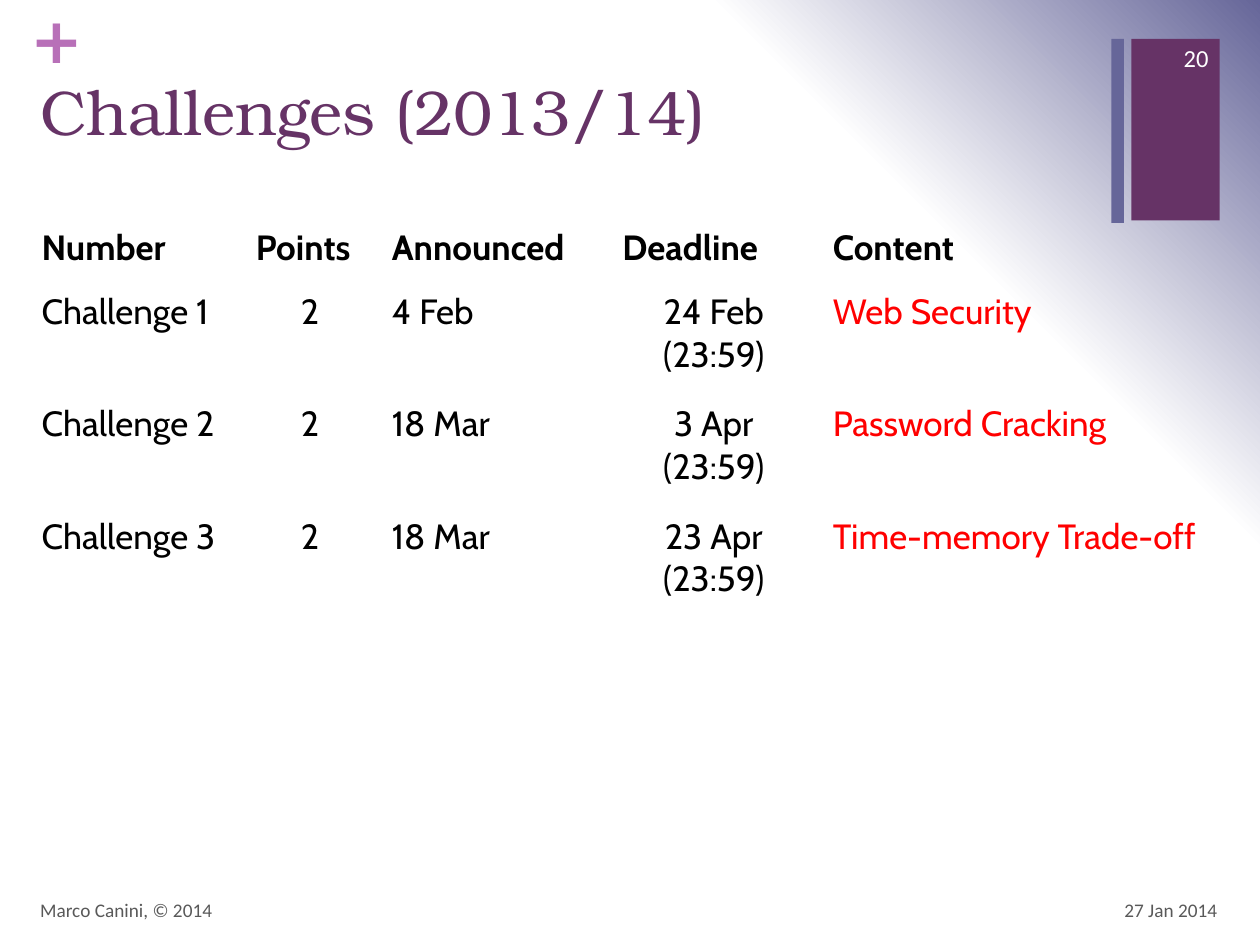
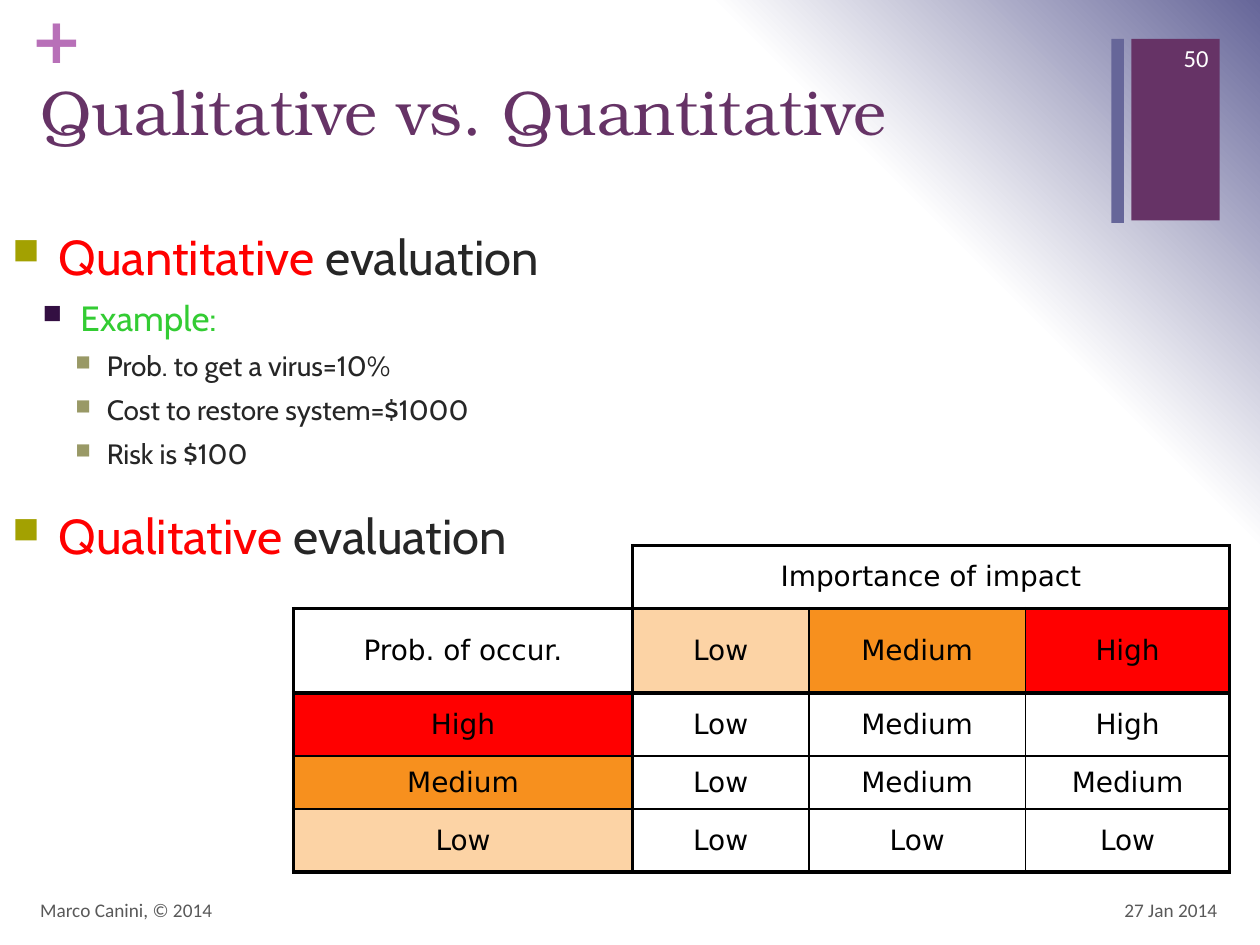
from lxml import etree
from pptx import Presentation
from pptx.dml.color import RGBColor
from pptx.enum.shapes import MSO_SHAPE
from pptx.enum.text import MSO_ANCHOR, PP_ALIGN
from pptx.oxml import parse_xml
from pptx.oxml.ns import qn
from pptx.util import Inches, Pt

C = {"purple": "663366", "slate": "666699", "orchid": "B870B8", "white": "FFFFFF",
     "black": "000000", "footer": "595959", "body": "262626", "red": "FF0000",
     "green": "33CC33", "orange": "F7901E", "peach": "FCD3A5",
     "olive": "A3A101", "plum": "330F42", "khaki": "999966"}
NS = 'xmlns:a="http://schemas.openxmlformats.org/drawingml/2006/main"'
NO_STYLE = "{2D5ABB26-0587-4C30-8999-92F81FD0307C}"
LEFT, CENTER, RIGHT = PP_ALIGN.LEFT, PP_ALIGN.CENTER, PP_ALIGN.RIGHT
BACKGROUND = f"""<a:gradFill {NS} rotWithShape="1"><a:gsLst>
<a:gs pos="0"><a:srgbClr val="{C['white']}"/></a:gs>
<a:gs pos="75000"><a:srgbClr val="{C['white']}"/></a:gs>
<a:gs pos="100000"><a:srgbClr val="{C['slate']}"/></a:gs></a:gsLst>
<a:path path="circle"><a:fillToRect t="100000" r="100000"/></a:path></a:gradFill>"""


def add_run(p, text, size, font, color, bold=False):
    r = p.add_run()
    r.text = text
    r.font.size, r.font.name, r.font.bold = Pt(size), font, bold
    r.font.color.rgb = RGBColor.from_string(C[color])


def add_box(s, box, anchor=MSO_ANCHOR.TOP):
    """Add a wrapping text box and return its text frame."""
    tf = s.shapes.add_textbox(*map(Inches, box)).text_frame
    tf.word_wrap = True
    tf.vertical_anchor = anchor
    return tf


prs = Presentation()
prs.slide_width, prs.slide_height = Inches(10), Inches(7.5)

# Shared frame: background, corner bands, title and footers
slides = []
for title, number in [("Challenges (2013/14)", "20"), ("Qualitative vs. Quantitative", "50")]:
    s = prs.slides.add_slide(prs.slide_layouts[6])
    slides.append(s)
    s.background.fill.solid()
    bg_fill = s.element.find(".//" + qn("p:bgPr")).find(qn("a:solidFill"))
    bg_fill.getparent().replace(bg_fill, parse_xml(BACKGROUND))

    for box, color in [((8.98, 0.31, 0.7, 1.44), "purple"), ((8.82, 0.31, 0.1, 1.46), "slate")]:
        sp = s.shapes.add_shape(MSO_SHAPE.RECTANGLE, *map(Inches, box))
        sp.shadow.inherit = False
        sp.fill.solid()
        sp.fill.fore_color.rgb = RGBColor.from_string(C[color])
        sp.line.fill.background()

    tf = add_box(s, (0.24, 0, 0.29, 0.61))
    tf.margin_left = tf.margin_right = tf.margin_top = tf.margin_bottom = 0
    add_run(tf.paragraphs[0], "+", 36, "DejaVu Sans", "orchid", True)

    tf = add_box(s, (0.22, 0.53, 8.59, 1.22))
    add_run(tf.paragraphs[0], title, 36, "TeX Gyre Bonum", "purple")

    for text, box, align, size, color in [
            ("27 Jan 2014", (7.43, 7.02, 2.33, 0.4), RIGHT, 11, "footer"),
            ("Marco Canini, © 2014", (0.22, 7.02, 6.7, 0.4), LEFT, 11, "footer"),
            (number, (9.08, 0.26, 0.61, 0.4), RIGHT, 14, "white")]:
        p = add_box(s, box, MSO_ANCHOR.MIDDLE).paragraphs[0]
        p.alignment = align
        add_run(p, text, size, "Calibri", color)

challenge_slide, risk_slide = slides

# Challenge schedule
schedule = [
    ["Number", "Points", "Announced", "Deadline", "Content"],
    ["Challenge 1", "2", "4 Feb", "24 Feb\n(23:59)", "Web Security"],
    ["Challenge 2", "2", "18 Mar", "3 Apr\n(23:59)", "Password Cracking"],
    ["Challenge 3", "2", "18 Mar", "23 Apr\n(23:59)", "Time-memory Trade-off"],
]
# Risk matrix, with the fill of each level on the two axes
matrix = [
    ["", "Importance of impact", "", ""],
    ["Prob. of occur.", "Low", "Medium", "High"],
    ["High", "Low", "Medium", "High"],
    ["Medium", "Low", "Medium", "Medium"],
    ["Low", "Low", "Low", "Low"],
]
level_fill = {"Low": "peach", "Medium": "orange", "High": "red"}

tables = []
for s, rows, box, widths, heights in [
        (challenge_slide, schedule, (0.22, 1.75, 9.54, 3.18),
         [1.7, 1.08, 1.83, 1.67, 3.26], [0.51, 0.89, 0.89, 0.89]),
        (risk_slide, matrix, (2.33, 4.33, 7.43, 2.58),
         [2.69, 1.4, 1.72, 1.62], [0.5, 0.67, 0.5, 0.42, 0.5])]:
    tbl = s.shapes.add_table(len(rows), len(widths), *map(Inches, box)).table
    tbl.first_row = tbl.horz_banding = False
    next(tbl.rows[0].cells[0]._tc.getroottree().iter(qn("a:tableStyleId"))).text = NO_STYLE
    for column, width in zip(tbl.columns, widths):
        column.width = Inches(width)
    for row, height in zip(tbl.rows, heights):
        row.height = Inches(height)
    tables.append(tbl)
schedule_table, matrix_table = tables

for i, row in enumerate(schedule):
    for j, text in enumerate(row):
        cell = schedule_table.cell(i, j)
        cell.fill.background()
        cell.margin_left = cell.margin_right = Inches(0.11)
        for k, line in enumerate(text.split("\n")):
            p = cell.text_frame.paragraphs[0] if k == 0 else cell.text_frame.add_paragraph()
            pPr = p._p.get_or_add_pPr()
            pPr.set("marL", str(Inches(0.38)))
            pPr.set("indent", str(-Inches(0.38)))
            p.alignment = CENTER if i > 0 and j in (1, 3) else LEFT
            add_run(p, line, 20, "Cabin", "red" if i > 0 and j == 4 else "black", i == 0)

matrix_table.cell(0, 1).merge(matrix_table.cell(0, 3))
thick_rows, thick_columns = (0, 1, 2, 5), (0, 1, 4)
for i, row in enumerate(matrix):
    for j, text in enumerate(row):
        cell = matrix_table.cell(i, j)
        cell.vertical_anchor = MSO_ANCHOR.MIDDLE
        cell.margin_left = cell.margin_right = cell.margin_top = cell.margin_bottom = 0
        thick = {"L": j in thick_columns, "R": j + 1 in thick_columns or cell.is_merge_origin,
                 "T": i in thick_rows, "B": i + 1 in thick_rows}
        sides = "LRTB"
        if (i, j) == (0, 0):
            sides = "RB"
        elif cell.is_spanned:
            sides = "RTB" if j == 3 else "TB"
        tcPr = cell._tc.get_or_add_tcPr()
        for side in sides:
            ln = etree.SubElement(tcPr, qn("a:ln" + side), w=str(Pt(2.25 if thick[side] else 1)))
            solid = etree.SubElement(ln, qn("a:solidFill"))
            etree.SubElement(solid, qn("a:srgbClr"), val=C["black"])
        if text in level_fill and (i == 1 or j == 0):
            cell.fill.solid()
            cell.fill.fore_color.rgb = RGBColor.from_string(C[level_fill[text]])
        else:
            cell.fill.background()
        if text:
            p = cell.text_frame.paragraphs[0]
            p.alignment = CENTER
            add_run(p, text, 16, "DejaVu Sans", "black")

# Bulleted evaluation text: left margin, hang, space before, bullet colour, size per level
levels = [(0.37, 0.37, 20, "olive", 28), (0.54, 0.3, 6, "plum", 20), (0.75, 0.25, 6, "khaki", 16)]
bullets = [
    (0, [("Quantitative ", "red"), ("evaluation", "body")]),
    (1, [("Example:", "green")]),
    (2, [("Prob. to get a virus=10%", "body")]),
    (2, [("Cost to restore system=$1000", "body")]),
    (2, [("Risk is $100", "body")]),
    (0, [("Qualitative", "red"), (" evaluation", "body")]),
]
tf = add_box(risk_slide, (0, 1.75, 8.83, 4.95))
for i, (level, runs) in enumerate(bullets):
    margin, hang, before, bullet_color, size = levels[level]
    p = tf.add_paragraph() if i else tf.paragraphs[0]
    p.level = level
    pPr = p._p.get_or_add_pPr()
    pPr.set("marL", str(Inches(margin)))
    pPr.set("indent", str(-Inches(hang)))
    color = etree.SubElement(pPr, qn("a:buClr"))
    etree.SubElement(color, qn("a:srgbClr"), val=C[bullet_color])
    etree.SubElement(pPr, qn("a:buSzPct"), val="75000")
    etree.SubElement(pPr, qn("a:buChar"), char="■")
    if i:
        p.space_before = Pt(before)
    for text, run_color in runs:
        add_run(p, text, size, "Cabin", run_color)

prs.save("out.pptx")
